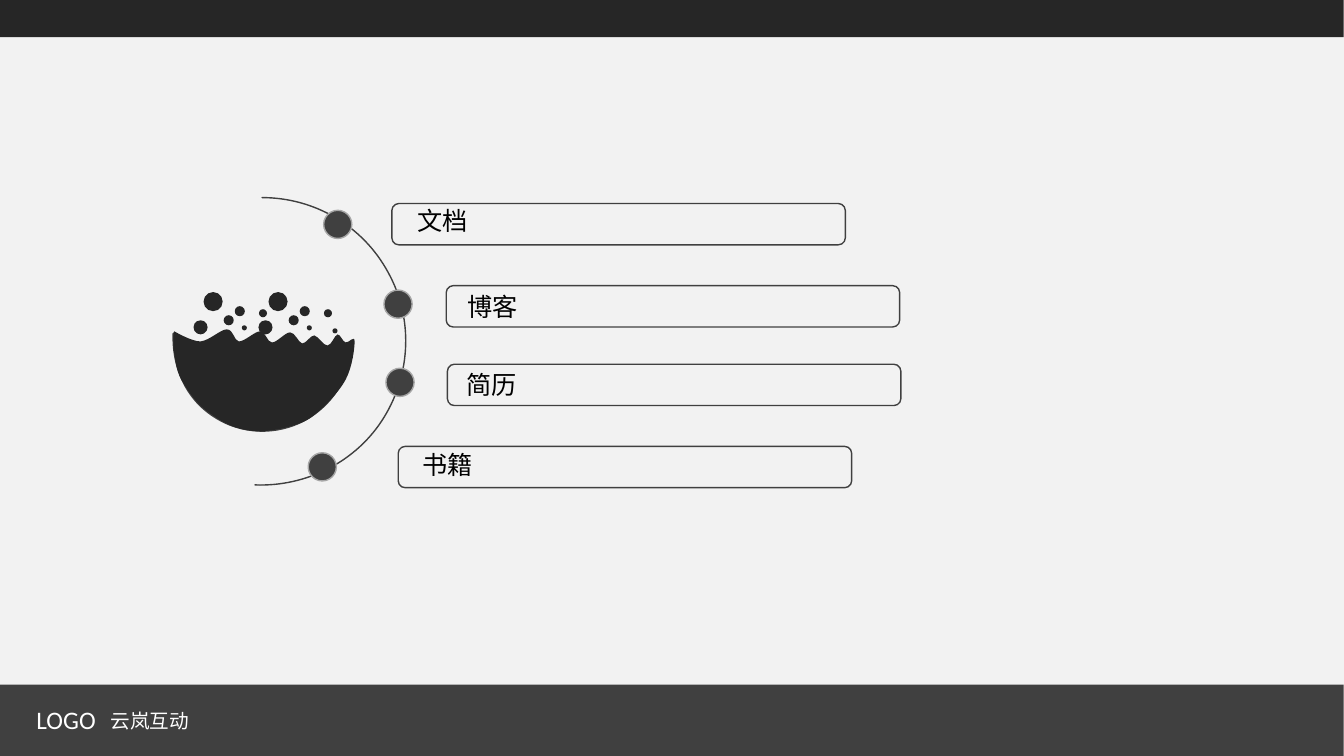
import pptx
import pptx.util
import pptx.dml.color
import pptx.enum.shapes
import pptx.enum.text
import pptx.oxml

Cm, Pt = pptx.util.Cm, pptx.util.Pt
SHAPE = pptx.enum.shapes.MSO_SHAPE
NS = 'xmlns:a="http://schemas.openxmlformats.org/drawingml/2006/main"'
CJK = "Noto Sans CJK SC"
DARK, GREY = "262626", "404040"

# Outlines: grid size, then a start point and three points per Bézier curve
WAVE = (180, 101), [
    (1, 2), (1, 2), (18, 12), (27, 12), (36, 11), (47, 0), (53, 0),
    (60, 0), (60, 11), (65, 12), (71, 12), (81, 2), (86, 2),
    (92, 2), (93, 13), (98, 13), (103, 13), (111, 3), (116, 3),
    (121, 3), (124, 13), (128, 14), (132, 14), (136, 6), (140, 6),
    (144, 7), (149, 16), (153, 16), (157, 16), (160, 6), (163, 5),
    (166, 5), (168, 12), (171, 13), (174, 14), (180, 5), (180, 12),
    (180, 18), (178, 37), (171, 50), (164, 63), (147, 80), (137, 87),
    (127, 95), (100, 101), (84, 101), (68, 100), (56, 97), (39, 85),
    (22, 74), (15, 61), (8, 50), (2, 39), (2, 27), (0, 19),
    (0, 11), (0, 1), (1, 2),
]
RIM = (178, 178), [
    (178, 89), (178, 121), (160, 151), (131, 167), (103, 182), (68, 181), (41, 163),
    (13, 145), (0, 114), (1, 81),
]
ORBIT = (285, 285), [
    (142, 0), (194, 0), (242, 28), (267, 74), (292, 119), (290, 174), (263, 218),
    (236, 262), (186, 287), (135, 285),
]
# One cluster of bubbles (left, top, diameter), drawn twice
BUBBLES = [(30, 0, 19), (61, 14, 10), (50, 23, 10), (68, 33, 5), (85, 17, 8), (20, 28, 14)]
CLUSTER_SHIFT = 64.5
LAST_BUBBLE = (158, 36, 5)

# Label, node position, frame position, text offset in the frame
ROWS = [
    ("文档", (8.16, 5.3), (9.88, 5.13), (0.4, -0.08)),
    ("博客", (9.68, 7.31), (11.25, 7.2), (0.28, 0.01)),
    ("简历", (9.73, 9.28), (11.28, 9.18), (0.23, 0.01)),
    ("书籍", (7.77, 11.41), (10.04, 11.25), (0.35, -0.05)),
]


def rgb(color):
    return pptx.dml.color.RGBColor.from_string(color)


def paint(sp, fill=None, line=None, width=1):
    sp.shadow.inherit = False
    if fill:
        sp.fill.solid()
        sp.fill.fore_color.rgb = rgb(fill)
    else:
        sp.fill.background()
    if line:
        sp.line.color.rgb = rgb(line)
        sp.line.width = Pt(width)
    else:
        sp.line.fill.background()


def add_shape(s, kind, box, **look):
    sp = s.shapes.add_shape(kind, *map(Cm, box))
    paint(sp, **look)
    return sp


def add_curve(s, outline, box, **look):
    grid, points = outline
    builder = s.shapes.build_freeform(*points[0])
    builder.add_line_segments(points[1:], close=True)
    sp = builder.convert_to_shape()
    for key, value in zip(("left", "top", "width", "height"), box):
        setattr(sp, key, Cm(value))
    paint(sp, **look)
    # Turn the straight segments into Bézier curves on the grid
    pts = [f'<a:pt x="{x}" y="{y}"/>' for x, y in points]
    curves = "".join(
        f"<a:cubicBezTo>{''.join(pts[i:i + 3])}</a:cubicBezTo>" for i in range(1, len(pts), 3))
    old = next(sp._element.iter(pptx.oxml.ns.qn("a:path")))
    old.getparent().replace(old, pptx.oxml.parse_xml(
        f'<a:path {NS} w="{grid[0]}" h="{grid[1]}"><a:moveTo>{pts[0]}</a:moveTo>'
        f'{curves}<a:close/></a:path>'))


def there_and_back(outline):
    grid, points = outline
    return grid, points + points[-2::-1]


def add_text(s, text, box, size, font, color):
    tf = s.shapes.add_textbox(*map(Cm, box)).text_frame
    tf.word_wrap = True
    tf.auto_size = pptx.enum.text.MSO_AUTO_SIZE.SHAPE_TO_FIT_TEXT
    r = tf.paragraphs[0].add_run()
    r.text = text
    for key, value in {"size": Pt(size), "name": font}.items():
        setattr(r.font, key, value)
    r.font.color.rgb = rgb(color)
    ea = pptx.oxml.parse_xml(f'<a:ea {NS} typeface="{font}"/>')
    r.font._element.find(pptx.oxml.ns.qn("a:latin")).addnext(ea)


def header(s, box):
    add_shape(s, SHAPE.RECTANGLE, box, fill=DARK)


def footer(s, box):
    left, top, width, height = box
    add_shape(s, SHAPE.RECTANGLE, box, fill=GREY)
    add_text(s, "LOGO", (left + 0.67, top + 0.38, 2.01, 1.02), 18, "Calibri", "FFFFFF")
    add_text(s, "云岚互动", (left + 2.54, top + 0.48, 4.62, 1.45), 14, CJK, "FFFFFF")


def bowl(s, box):
    left, top, width, height = box
    unit = width / 180
    # Rim, then liquid
    add_curve(s, there_and_back(RIM), (left - 0.02, top - 1.01, 4.52, 4.52),
              fill=DARK, line=GREY, width=1.5)
    add_curve(s, WAVE, (left, top + 0.94, width, height - 0.94), fill=DARK)
    # Bubbles
    shifted = [(x + CLUSTER_SHIFT, y, d) for x, y, d in BUBBLES]
    for x, y, d in BUBBLES + shifted + [LAST_BUBBLE]:
        add_shape(s, SHAPE.OVAL, (left + x * unit, top + y * unit, d * unit, d * unit), fill=DARK)


def orbit(s, box):
    add_curve(s, there_and_back(ORBIT), box, fill=DARK, line=GREY)


def menu_row(s, label, node, frame, offset):
    add_shape(s, SHAPE.OVAL, (*node, 0.71, 0.71), fill=GREY, line="A6A6A6")
    sp = add_shape(s, SHAPE.ROUNDED_RECTANGLE, (*frame, 11.43, 1.04), line=GREY)
    sp.adjustments[0] = 0.167
    add_text(s, label, (frame[0] + offset[0], frame[1] + offset[1], 7.77, 1.02),
             18, CJK, "000000")


def main():
    prs = pptx.Presentation()
    prs.slide_width, prs.slide_height = Cm(33.88), Cm(19.05)
    s = prs.slides.add_slide(prs.slide_layouts[6])
    s.background.fill.solid()
    s.background.fill.fore_color.rgb = rgb("F2F2F2")
    footer(s, (0, 17.25, 33.87, 1.8))
    header(s, (0, 0, 33.87, 0.94))
    bowl(s, (4.37, 7.36, 4.57, 3.51))
    orbit(s, (3, 4.98, 7.24, 7.24))
    for row in ROWS:
        menu_row(s, *row)
    prs.save("out.pptx")


if __name__ == "__main__":
    main()
